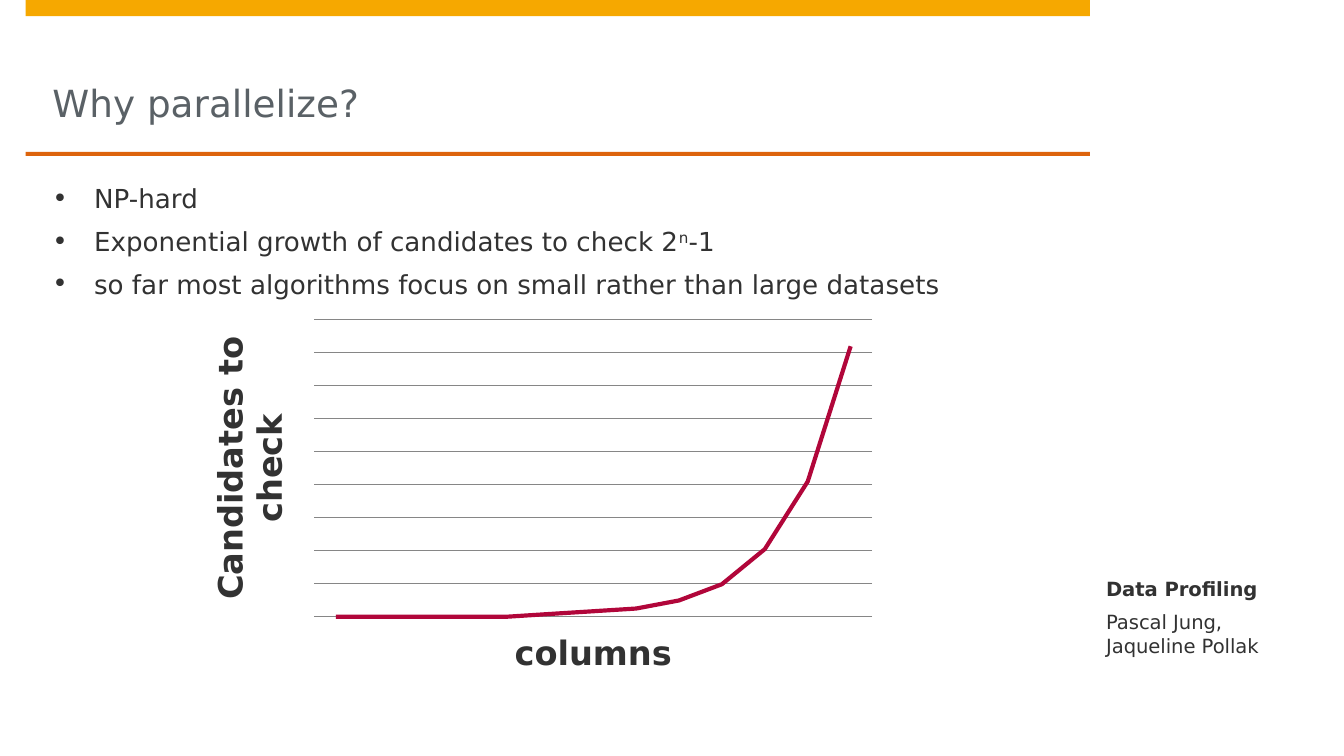
from dataclasses import dataclass

from lxml import etree
from pptx import Presentation
from pptx import util as u
from pptx.chart import data as chart_data
from pptx.dml.color import RGBColor
from pptx.enum import chart as charts, shapes, text
from pptx.oxml import parse_xml
from pptx.oxml.ns import nsdecls, qn


@dataclass(frozen=True)
class Theme:
    """Colours, typeface and type sizes of the slide."""
    font: str = "DejaVu Sans"
    banner: str = "F6A800"
    rule: str = "DD640C"
    heading: str = "5A6166"
    ink: str = "323232"
    grid: str = "868686"
    curve: str = "B1063A"
    title_size: float = 20
    body_size: float = 14
    credit_size: float = 10.5
    axis_size: float = 18


THEME = Theme()
BULLETS = [
    ["NP-hard"],
    ["Exponential growth of candidates to check 2", "n", "-1"],
    ["so far most algorithms focus on small rather than large datasets"],
]
SUPERSCRIPTS = {"n"}
COLUMN_COUNTS = range(1, 14)
GRID_STEP = 12.2
GRID_INTERVALS = 9


def style_font(font, size, color, bold=False):
    """Apply the theme typeface with a size, colour and weight."""
    font.name = THEME.font
    font.size = u.Pt(size)
    font.bold = bold
    font.color.rgb = RGBColor.from_string(color)


def add_bar(slide, left, top, width, height, color):
    """Add a plain filled rectangle."""
    bar = slide.shapes.add_shape(
        shapes.MSO_SHAPE.RECTANGLE, *map(u.Inches, (left, top, width, height)))
    bar.shadow.inherit = False
    bar.fill.solid()
    bar.fill.fore_color.rgb = RGBColor.from_string(color)
    bar.line.fill.background()


def add_frame(slide, box, left_inset=0, bottom_inset=0, anchor=text.MSO_ANCHOR.TOP):
    """Add a wrapping text box and return its text frame."""
    frame = slide.shapes.add_textbox(*map(u.Inches, box)).text_frame
    frame.word_wrap = True
    frame.vertical_anchor = anchor
    frame.margin_left = u.Inches(left_inset)
    frame.margin_bottom = u.Inches(bottom_inset)
    frame.margin_top = frame.margin_right = 0
    return frame


def add_label(slide, box, wording, size, color, bold=False, **layout):
    """Add a text box with one style throughout."""
    frame = add_frame(slide, box, **layout)
    frame.text = wording
    for paragraph in frame.paragraphs:
        for run in paragraph.runs:
            style_font(run.font, size, color, bold)


def add_bullets(slide, box, items):
    """Add a bulleted list whose items are lists of runs."""
    frame = add_frame(slide, box)
    for index, parts in enumerate(items):
        paragraph = frame.add_paragraph() if index else frame.paragraphs[0]
        paragraph.space_before = paragraph.space_after = u.Pt(3)
        properties = paragraph._p.get_or_add_pPr()
        properties.set("marL", str(u.Inches(0.31)))
        properties.set("indent", str(-u.Inches(0.31)))
        etree.SubElement(properties, qn("a:buFont")).set("typeface", THEME.font)
        etree.SubElement(properties, qn("a:buChar")).set("char", "•")
        for part in parts:
            run = paragraph.add_run()
            run.text = part
            style_font(run.font, THEME.body_size, THEME.ink)
            if part in SUPERSCRIPTS:
                run._r.get_or_add_rPr().set("baseline", "30000")


def title_axis(axis, wording):
    """Hide an axis while giving it a bold title."""
    axis.visible = False
    axis.axis_title.text_frame.text = wording
    run = axis.axis_title.text_frame.paragraphs[0].runs[0]
    style_font(run.font, THEME.axis_size, THEME.ink, True)


def place_plot(chart, x, y, w, h):
    """Fix the inner plot area as fractions of the chart."""
    plot_area = chart._chartSpace.chart.plotArea
    for layout in plot_area.findall(qn("c:layout")):
        plot_area.remove(layout)
    sizes = "".join(f'<c:{name} val="{value}"/>' for name, value in
                    (("x", x), ("y", y), ("w", w), ("h", h)))
    plot_area.insert(0, parse_xml(
        f'<c:layout {nsdecls("c")}><c:manualLayout><c:layoutTarget val="inner"/>'
        f'<c:xMode val="edge"/><c:yMode val="edge"/>{sizes}'
        '</c:manualLayout></c:layout>'))


def growth_shares():
    """Return the candidates per column count as a percentage of the largest."""
    candidates = [2 ** count - 1 for count in COLUMN_COUNTS]
    return [round(100 * value / candidates[-1]) for value in candidates]


def add_growth_chart(slide, box):
    """Add the line chart of candidates against columns."""
    data = chart_data.CategoryChartData()
    data.categories = [str(count) for count in COLUMN_COUNTS]
    data.add_series("Series 1", growth_shares())
    chart = slide.shapes.add_chart(
        charts.XL_CHART_TYPE.LINE, *map(u.Inches, box), data).chart
    chart.has_legend = chart.has_title = False
    style_font(chart.font, THEME.axis_size, THEME.ink)
    title_axis(chart.category_axis, "columns")
    title_axis(chart.value_axis, "Candidates to check")
    chart.value_axis.minimum_scale = 0
    chart.value_axis.maximum_scale = round(GRID_STEP * GRID_INTERVALS, 1)
    chart.value_axis.major_unit = GRID_STEP
    grid = chart.value_axis.major_gridlines.format.line
    grid.width = u.Pt(0.75)
    grid.color.rgb = RGBColor.from_string(THEME.grid)
    plot = chart.plots[0]
    plot.vary_by_categories = False
    curve = plot.series[0]
    curve.smooth = False
    curve.marker.style = charts.XL_MARKER_STYLE.NONE
    curve.format.line.width = u.Pt(2.25)
    curve.format.line.color.rgb = RGBColor.from_string(THEME.curve)
    width, height = box[2:]
    place_plot(chart, 0.96 / width, 0.06 / height, 4.15 / width, 2.21 / height)


def main():
    """Build and save the slide."""
    presentation = Presentation()
    presentation.slide_width = u.Inches(10)
    presentation.slide_height = presentation.slide_width * 9 // 16
    slide = presentation.slides.add_slide(presentation.slide_layouts[6])
    add_bar(slide, 0.19, 0, 7.92, 0.12, THEME.banner)
    add_bar(slide, 0.19, 1.13, 7.92, 0.03, THEME.rule)
    add_label(slide, (0.39, 0.12, 7.52, 1.01), "Why parallelize?",
              THEME.title_size, THEME.heading,
              bottom_inset=0.2, anchor=text.MSO_ANCHOR.BOTTOM)
    add_bullets(slide, (0.39, 1.36, 7.52, 3.9), BULLETS)
    add_label(slide, (8.11, 4.54, 1.69, 0.51), "Pascal Jung,\nJaqueline Pollak",
              THEME.credit_size, THEME.ink, left_inset=0.12)
    add_label(slide, (8.11, 3.9, 1.69, 0.57), "Data Profiling",
              THEME.credit_size, THEME.ink, True,
              left_inset=0.12, anchor=text.MSO_ANCHOR.BOTTOM)
    add_growth_chart(slide, (1.38, 2.32, 5.22, 2.93))
    presentation.save("out.pptx")


if __name__ == "__main__":
    main()
